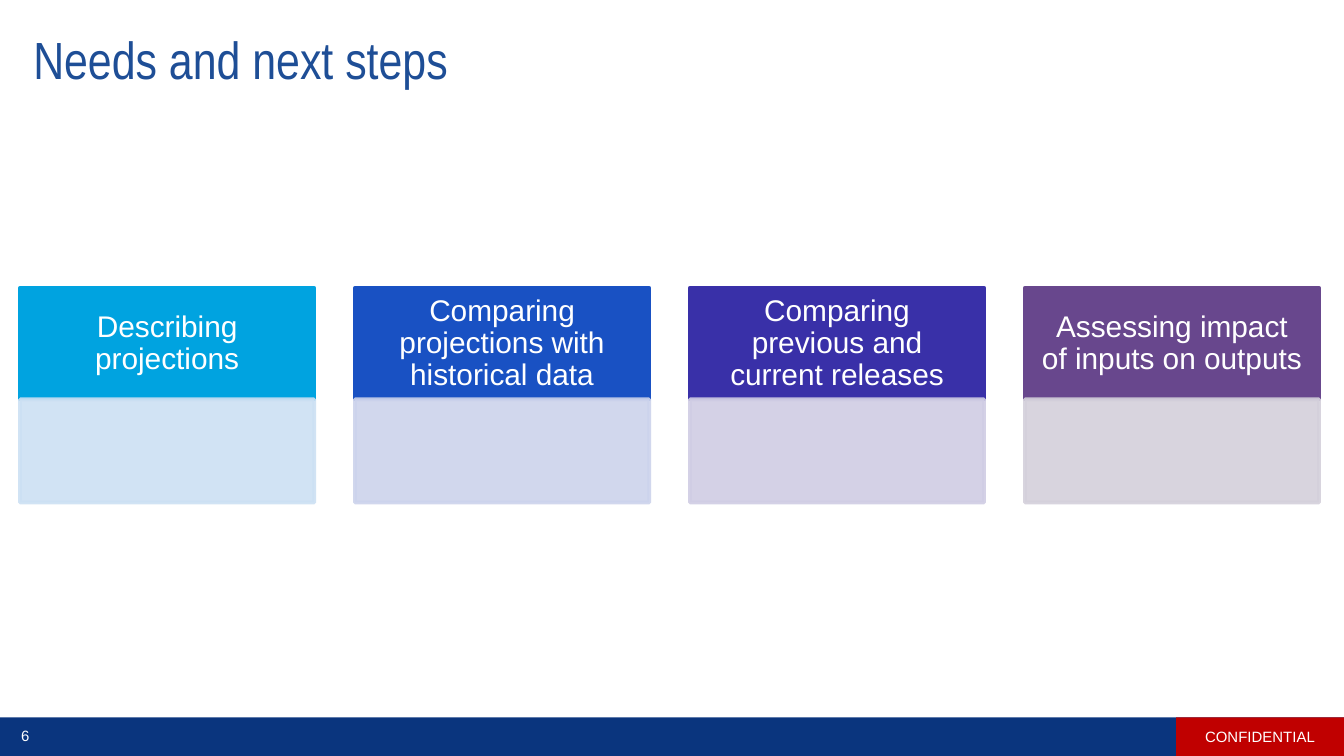
import dataclasses

import lxml.etree
import pptx
import pptx.dml.color
import pptx.enum.shapes
import pptx.enum.text
import pptx.oxml.ns
import pptx.util

Cm = pptx.util.Cm
Pt = pptx.util.Pt
ALIGN = pptx.enum.text.PP_ALIGN


@dataclasses.dataclass(frozen=True)
class Theme:
    title: str = "1E4E96"
    footer: str = "0A357E"
    label: str = "C00000"
    white: str = "FFFFFF"
    columns: tuple = (
        ("00A3E0", "CCE0F3"),
        ("1951C3", "CCD3EC"),
        ("3930A8", "D0CDE4"),
        ("68478D", "D4D0DB"),
    )
    title_size: int = 28
    head_size: int = 16
    small_size: int = 8


theme = Theme()


def add_box(s, left, top, width, height, color, line=0, alpha=100):
    sp = s.shapes.add_shape(
        pptx.enum.shapes.MSO_SHAPE.RECTANGLE, Cm(left), Cm(top), Cm(width), Cm(height)
    )
    sp.shadow.inherit = False
    rgb = pptx.dml.color.RGBColor.from_string(color)
    sp.fill.solid()
    sp.fill.fore_color.rgb = rgb
    if line:
        sp.line.color.rgb = rgb
        sp.line.width = Pt(line)
    else:
        sp.line.fill.background()
    if alpha < 100:
        qn = pptx.oxml.ns.qn
        for clr in sp.element.spPr.iter(qn("a:srgbClr")):
            lxml.etree.SubElement(clr, qn("a:alpha"), val=str(alpha * 1000))
    return sp


def write(sp, text, size, color=theme.white, font="Arial", align=ALIGN.CENTER,
          spacing=1.0, margins=(0.25, 0.13, 0.25, 0.13)):
    tf = sp.text_frame
    tf.word_wrap = True
    tf.vertical_anchor = pptx.enum.text.MSO_ANCHOR.MIDDLE
    tf.margin_left, tf.margin_top, tf.margin_right, tf.margin_bottom = map(Cm, margins)
    p = tf.paragraphs[0]
    p.alignment = align
    p.line_spacing = spacing
    r = p.add_run()
    r.text = text
    r.font.name = font
    r.font.size = Pt(size)
    r.font.color.rgb = pptx.dml.color.RGBColor.from_string(color)


prs = pptx.Presentation()
prs.slide_width = Cm(25.4)
prs.slide_height = Cm(14.29)
s = prs.slides.add_slide(prs.slide_layouts[6])

add_box(s, 0, 13.56, 25.4, 0.73, theme.footer)
label = add_box(s, 22.23, 13.56, 3.17, 0.73, theme.label)
write(label, "CONFIDENTIAL", theme.small_size)

title = s.shapes.add_textbox(Cm(0.38), Cm(0.38), Cm(24.56), Cm(1.6))
write(title, "Needs and next steps", theme.title_size, color=theme.title,
      font="Arial Narrow", align=ALIGN.LEFT, spacing=0.9,
      margins=(0.25, 0.25, 0.5, 0.25))

headings = (
    "Describing projections",
    "Comparing projections with historical data",
    "Comparing previous and current releases",
    "Assessing impact of inputs on outputs",
)
left, pitch, width = 0.38, 6.33, 5.56
top, head_height, body_height = 5.44, 2.11, 1.95
for i, (heading, (dark, pale)) in enumerate(zip(headings, theme.columns)):
    x = left + i * pitch
    head = add_box(s, x, top, width, head_height, dark, line=2)
    write(head, heading, theme.head_size, spacing=0.9, margins=(0.3, 0.18, 0.3, 0.18))
    add_box(s, x, top + head_height, width, body_height, pale, line=2, alpha=90)

number = s.shapes.add_textbox(Cm(0), Cm(13.59), Cm(0.96), Cm(0.61))
write(number, "6", theme.small_size)

prs.save("out.pptx")
